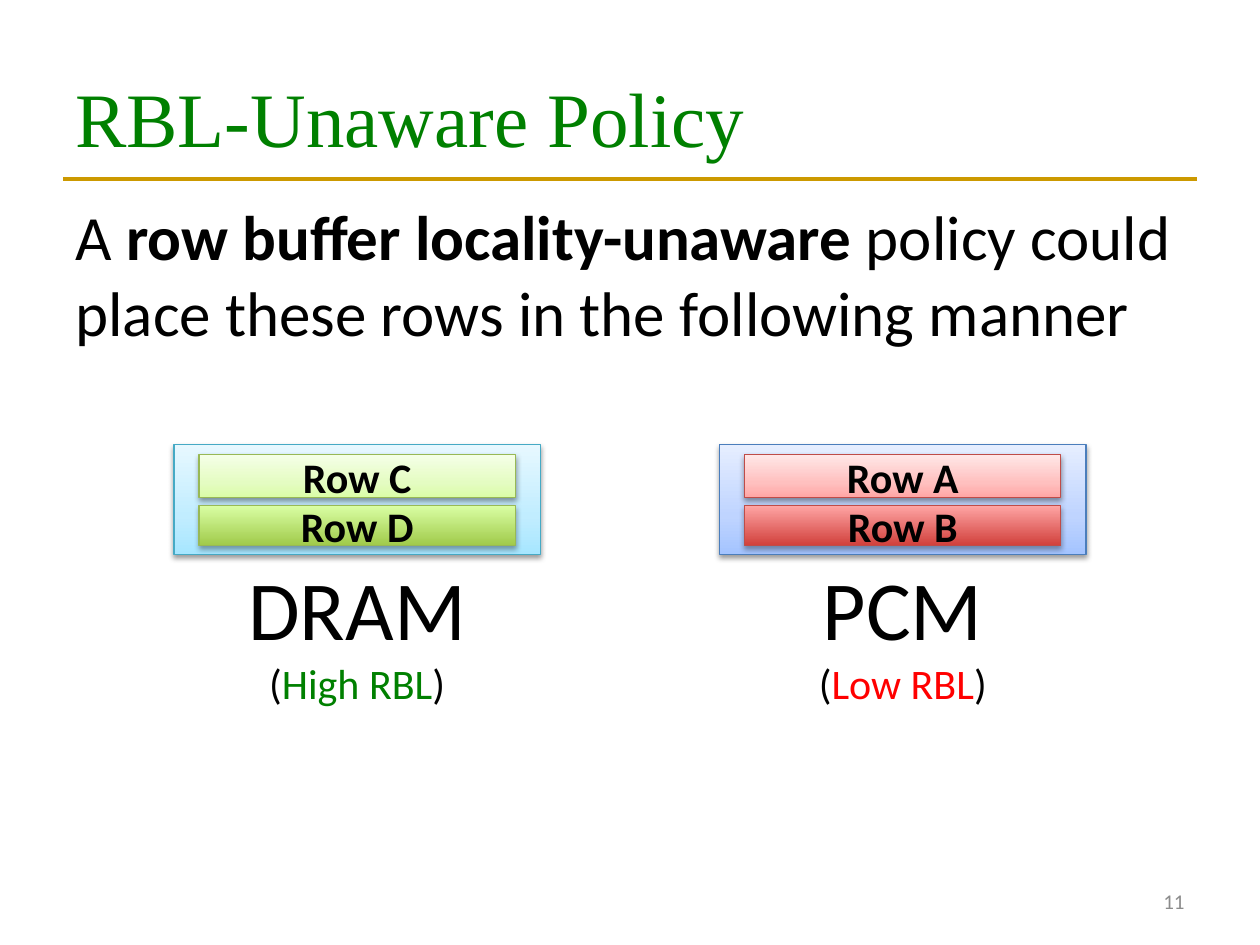
import lxml.etree
import pptx
import pptx.dml.color
import pptx.enum.shapes
import pptx.enum.text
import pptx.oxml
import pptx.oxml.ns
import pptx.util

# The grid has 100 columns and 75 rows on a slide of 10 by 7.5 inches.
CELL = pptx.util.Inches(0.1)
COLUMNS, ROWS = 100, 75
MARGIN = 5
MEMORY_WIDTH, ROW_WIDTH = 29.1, 25.1
ROW_INSET = (MEMORY_WIDTH - ROW_WIDTH) / 2

COLORS = {
    "black": "000000", "green": "008000", "red": "FF0000",
    "gold": "CC9900", "gray": "8C8C8C",
    "cyan line": "46AAC5", "blue line": "4B7EBC",
    "lime line": "98B955", "rose line": "BF4C48",
}
GRADIENTS = {
    "cyan": {0: "A7E6FF", 35: "C1EDFF", 100: "E7F8FF"},
    "blue": {0: "A4C4FF", 35: "BFD4FF", 100: "E6EEFF"},
    "pale lime": {0: "DAFDA7", 35: "E4FCC2", 100: "F5FFE7"},
    "deep lime": {0: "A0CA4A", 100: "DAFFA5"},
    "pale rose": {0: "FFA6A5", 35: "FFC0BF", 100: "FFE7E7"},
    "deep rose": {0: "D1403C", 100: "FFA6A5"},
}
ALIGN = pptx.enum.text.PP_ALIGN
MIDDLE = pptx.enum.text.MSO_ANCHOR.MIDDLE
GROW = pptx.enum.text.MSO_AUTO_SIZE.SHAPE_TO_FIT_TEXT
LABEL_FRAME = {"word_wrap": False, "auto_size": GROW}
CENTERED_FRAME = {"word_wrap": True, "vertical_anchor": MIDDLE}


def grid(*cells):
    return [round(cell * CELL) for cell in cells]


def rgb(name):
    return pptx.dml.color.RGBColor.from_string(COLORS[name])


def set_attributes(target, values):
    for name, value in values.items():
        setattr(target, name, value)


def add_run(paragraph, text, size, color="black", font="Calibri", bold=False):
    run = paragraph.add_run()
    run.text = text
    set_attributes(run.font, {"size": pptx.util.Pt(size), "name": font, "bold": bold})
    run.font.color.rgb = rgb(color)


def add_text(slide, place, frame_format, alignment=ALIGN.LEFT):
    """Add an empty text box and return its first paragraph."""
    frame = slide.shapes.add_textbox(*grid(*place)).text_frame
    set_attributes(frame, frame_format)
    frame.paragraphs[0].alignment = alignment
    return frame.paragraphs[0]


def add_rule(slide, left, right, row, color, width):
    line = slide.shapes.add_connector(
        pptx.enum.shapes.MSO_CONNECTOR.STRAIGHT, *grid(left, row, right, row))
    line.line.color.rgb = rgb(color)
    line.line.width = pptx.util.Pt(width)
    lxml.etree.SubElement(line._element.spPr, pptx.oxml.ns.qn("a:effectLst"))


def set_gradient(shape, stops):
    """Fill from bottom to top with stops given as percent: color."""
    shape.fill.gradient()
    shape.fill.gradient_angle = 90
    stop_list = shape._element.spPr.find(".//" + pptx.oxml.ns.qn("a:gsLst"))
    for stop in list(stop_list):
        stop_list.remove(stop)
    for percent, color in stops.items():
        stop_list.append(pptx.oxml.parse_xml(
            f'<a:gs {pptx.oxml.ns.nsdecls("a")} pos="{percent * 1000}">'
            f'<a:srgbClr val="{color}"/></a:gs>'))


def set_shadow(shape, opacity, distance):
    shape.shadow.inherit = False
    effects = shape._element.spPr.find(pptx.oxml.ns.qn("a:effectLst"))
    effects.append(pptx.oxml.parse_xml(
        f'<a:outerShdw {pptx.oxml.ns.nsdecls("a")} blurRad="{pptx.util.Pt(3.1)}" '
        f'dist="{pptx.util.Pt(distance)}" dir="5400000" rotWithShape="0">'
        f'<a:srgbClr val="{COLORS["black"]}"><a:alpha val="{opacity * 1000}"/>'
        '</a:srgbClr></a:outerShdw>'))


def add_block(slide, place, gradient, line, opacity=38, distance=1.6):
    shape = slide.shapes.add_shape(
        pptx.enum.shapes.MSO_SHAPE.RECTANGLE, *grid(*place))
    set_gradient(shape, GRADIENTS[gradient])
    shape.line.color.rgb = rgb(line)
    shape.line.width = pptx.util.Pt(0.75)
    set_shadow(shape, opacity, distance)
    return shape


def add_row(slide, place, text, *style):
    frame = add_block(slide, place, *style).text_frame
    set_attributes(frame, CENTERED_FRAME)
    frame.paragraphs[0].alignment = ALIGN.CENTER
    add_run(frame.paragraphs[0], text, 24, bold=True)


def add_memory(slide, left, color, label, locality, rows, hue):
    """Add a memory block with its two rows and the label below it."""
    add_block(slide, (left, 35.3, MEMORY_WIDTH, 8.7), color, f"{color} line")
    name, width = label
    center = left + MEMORY_WIDTH / 2
    paragraph = add_text(
        slide, (center - width / 2, 43.7, width, 13.1), LABEL_FRAME, ALIGN.CENTER)
    add_run(paragraph, name, 48)
    paragraph.add_line_break()
    add_run(paragraph, "(", 24)
    add_run(paragraph, *locality)
    add_run(paragraph, ")", 24)
    upper, lower = rows
    row_left = left + ROW_INSET
    add_row(slide, (row_left, 36.1, ROW_WIDTH, 3.4), upper, f"pale {hue}", f"{hue} line")
    add_row(slide, (row_left, 40.1, ROW_WIDTH, 3.2), lower, f"deep {hue}", f"{hue} line",
            35, 1.8)


def add_statement(slide):
    first = add_text(slide, (MARGIN, 15.2, 90.2, 13.1), LABEL_FRAME)
    add_run(first, "A ", 36)
    add_run(first, "row buffer locality-unaware ", 36, bold=True)
    add_run(first, "policy could", 36)
    second = first._parent.add_paragraph()
    add_run(second, "place these rows in the following manner", 36)


def main():
    presentation = pptx.Presentation()
    set_attributes(presentation, {
        "slide_width": COLUMNS * CELL, "slide_height": ROWS * CELL})
    slide = presentation.slides.add_slide(presentation.slide_layouts[6])

    add_rule(slide, MARGIN, COLUMNS - MARGIN, 14.2, "gold", 2.25)
    title = add_text(slide, (MARGIN, 3, COLUMNS - 2 * MARGIN, 12.5), CENTERED_FRAME)
    add_run(title, "RBL-Unaware Policy", 44, "green", "Times New Roman")
    number = add_text(slide, (71.7, 69.5, 23.3, 4), CENTERED_FRAME, ALIGN.RIGHT)
    add_run(number, "11", 12, "gray")
    add_statement(slide)
    add_memory(slide, 13.8, "cyan", ("DRAM", 19.5), ("High RBL", 24, "green"),
               ("Row C", "Row D"), "lime")
    add_memory(slide, 57.1, "blue", ("PCM", 15.5), ("Low RBL", 24, "red"),
               ("Row A", "Row B"), "rose")
    presentation.save("out.pptx")


if __name__ == "__main__":
    main()
